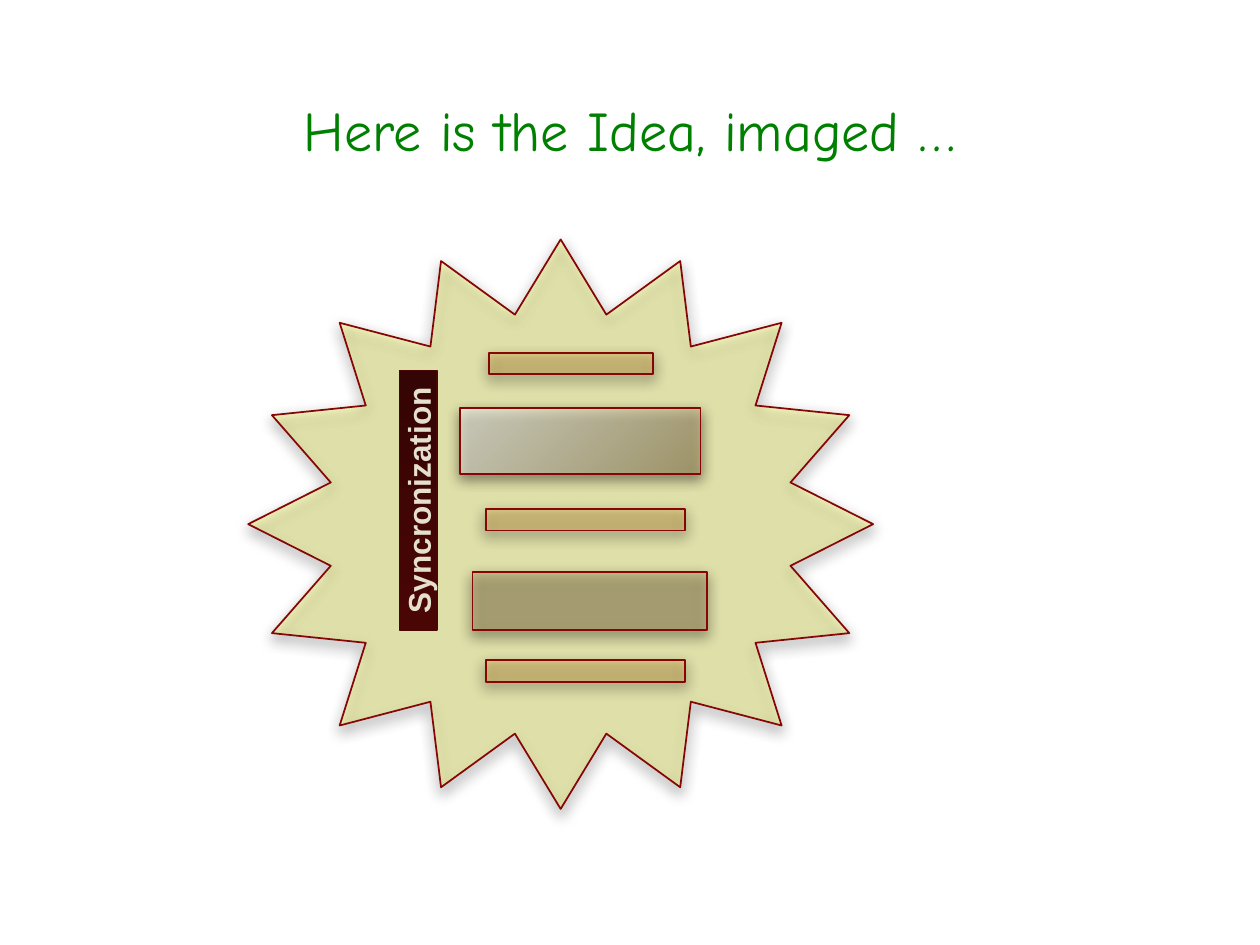
import dataclasses

import pptx
import pptx.dml.color
import pptx.enum.shapes
import pptx.enum.text
import pptx.oxml
import pptx.oxml.ns
import pptx.util

Inches = pptx.util.Inches
Shape = pptx.enum.shapes.MSO_SHAPE
NAMESPACE = pptx.oxml.ns.nsdecls("a")


@dataclasses.dataclass(frozen=True)
class Theme:
    title_font: str = "Comic Neue"
    label_font: str = "Arial"
    title_size: int = 32
    label_size: int = 18
    title: str = "008000"
    label: str = "E5DFCE"
    outline: str = "860605"
    star: str = "FFFF00"
    block: str = "B29F6B"
    highlight: str = "FFFFFF"
    bar: str = "EEA62D"
    label_top: str = "350404"
    label_bottom: str = "4A0505"
    shadow: str = "000000"


class SlideBuilder:
    def __init__(self, slide, theme):
        self.slide = slide
        self.theme = theme

    def set_text(self, box, text, font_name, size, color, bold=False):
        frame = box.text_frame
        frame.vertical_anchor = pptx.enum.text.MSO_ANCHOR.MIDDLE
        para = frame.paragraphs[0]
        para.text = text
        para.alignment = pptx.enum.text.PP_ALIGN.CENTER
        para.font.name = font_name
        para.font.size = pptx.util.Pt(size)
        para.font.bold = bold
        para.font.color.rgb = pptx.dml.color.RGBColor.from_string(color)
        return frame

    def title(self, text, *bounds):
        box = self.slide.shapes.add_textbox(*map(Inches, bounds))
        frame = self.set_text(box, text, self.theme.title_font,
                              self.theme.title_size, self.theme.title)
        frame.word_wrap = True

    def shape(self, parent, kind, bounds, outline):
        shape = parent.shapes.add_shape(kind, *map(Inches, bounds))
        shape.shadow.inherit = False
        shape.line.color.rgb = pptx.dml.color.RGBColor.from_string(outline)
        shape.line.width = pptx.util.Pt(1)
        return shape

    def cast_shadow(self, shape):
        effects = shape._element.spPr.find(pptx.oxml.ns.qn("a:effectLst"))
        effects.append(pptx.oxml.parse_xml(
            f'<a:outerShdw {NAMESPACE} blurRad="{pptx.util.Pt(8)}" '
            f'dist="{pptx.util.Pt(3)}" dir="5400000" rotWithShape="0">'
            f'<a:srgbClr val="{self.theme.shadow}"><a:alpha val="75000"/>'
            '</a:srgbClr></a:outerShdw>'))

    def translucent(self, parent, kind, bounds, color, opacity):
        shape = self.shape(parent, kind, bounds, self.theme.outline)
        shape.fill.solid()
        shape.fill.fore_color.rgb = pptx.dml.color.RGBColor.from_string(color)
        color_node = shape._element.spPr.find(".//" + pptx.oxml.ns.qn("a:srgbClr"))
        color_node.append(pptx.oxml.parse_xml(
            f'<a:alpha {NAMESPACE} val="{opacity * 1000}"/>'))
        self.cast_shadow(shape)

    def fill_gradient(self, shape, colors, opacity, direction):
        stops = "".join(
            f'<a:gs pos="{position}"><a:srgbClr val="{color}">'
            f'<a:alpha val="{opacity * 1000}"/></a:srgbClr></a:gs>'
            for position, color in zip((0, 100000), colors))
        gradient = pptx.oxml.parse_xml(
            f'<a:gradFill {NAMESPACE} rotWithShape="0">'
            f'<a:gsLst>{stops}</a:gsLst>{direction}</a:gradFill>')
        shape._element.spPr.find(pptx.oxml.ns.qn("a:prstGeom")).addnext(gradient)

    def gradient_block(self, parent, *bounds):
        block = self.shape(parent, Shape.FLOWCHART_PROCESS, bounds, self.theme.outline)
        self.fill_gradient(
            block, (self.theme.block, self.theme.highlight), 54,
            '<a:path path="circle"><a:fillToRect l="100000" t="100000"/></a:path>')
        self.cast_shadow(block)

    def upright_label(self, parent, text, *bounds):
        label = self.shape(parent, Shape.RECTANGLE, bounds, self.theme.label_bottom)
        label.rotation = 270
        self.fill_gradient(
            label, (self.theme.label_top, self.theme.label_bottom), 100,
            '<a:lin ang="5400000" scaled="0"/>')
        frame = self.set_text(label, text, self.theme.label_font,
                              self.theme.label_size, self.theme.label, bold=True)
        frame.word_wrap = False

    def bar(self, parent, *bounds):
        self.translucent(parent, Shape.MATH_MINUS, bounds, self.theme.bar, 24)


def main():
    deck = pptx.Presentation()
    deck.slide_width, deck.slide_height = Inches(10), Inches(7.5)
    slide = deck.slides.add_slide(deck.slide_layouts[6])
    theme = Theme()
    builder = SlideBuilder(slide, theme)

    builder.title("Here is the Idea, imaged …", 1, 0.55, 8, 0.95)
    idea = slide.shapes.add_group_shape()
    builder.translucent(idea, Shape.STAR_16_POINT, (1.97, 1.9, 4.96, 4.52),
                        theme.star, 21)
    builder.gradient_block(idea, 3.65, 3.24, 1.91, 0.52)
    builder.translucent(idea, Shape.FLOWCHART_PROCESS, (3.75, 4.54, 1.86, 0.46),
                        theme.block, 41)
    builder.upright_label(idea, "Syncronization", 2.29, 3.82, 2.06, 0.3)
    builder.bar(idea, 3.65, 2.53, 1.77, 0.71)
    for top in (3.76, 4.96):
        builder.bar(slide, 3.57, top, 2.15, 0.73)

    deck.save("out.pptx")


if __name__ == "__main__":
    main()
